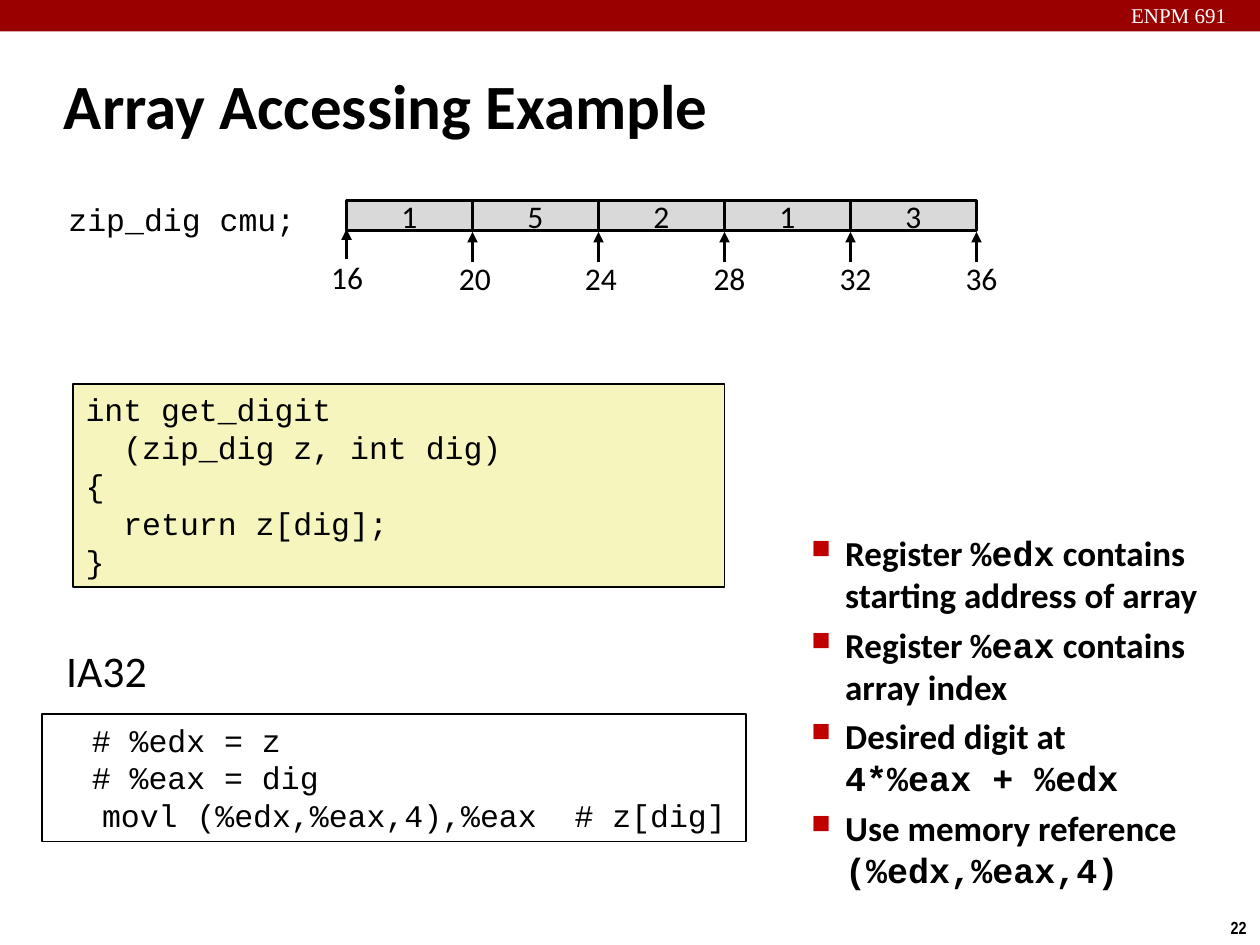
"""Build the slide on accessing an array element in IA32."""
from dataclasses import dataclass

import pptx
import pptx.dml.color
import pptx.enum.shapes
import pptx.enum.text
import pptx.oxml
import pptx.oxml.ns
import pptx.util

Pt = pptx.util.Pt
ALIGN = pptx.enum.text.PP_ALIGN
ANCHOR = pptx.enum.text.MSO_ANCHOR
SANS, MONO = "Calibri", "Courier New"
COLORS = {
    "black": "000000", "white": "FFFFFF", "banner": "990000",
    "bullet": "C00000", "code": "F6F5BD", "cell": "D9D9D9",
}
CELL_LEFT, CELL_TOP, CELL_WIDTH, CELL_HEIGHT = 198, 114.5, 72, 17.3
LABEL_WIDTH = 78


@dataclass
class Box:
    left: float
    top: float
    width: float
    height: float


@dataclass
class Address:
    value: int
    shift: float
    arrow_tip: float
    label_top: float


DIGITS = [1, 5, 2, 1, 3]
ADDRESSES = [
    Address(16, 0.4, 131, 144),
    Address(20, 1.4, 132.5, 144.7),
    Address(24, 1.4, 132.5, 144.7),
    Address(28, 2.9, 132.5, 144.7),
    Address(32, 2.9, 132.5, 144.7),
    Address(36, 2.9, 132.5, 144.7),
]
FUNCTION_CODE = ["int get_digit", "  (zip_dig z, int dig)", "{", "  return z[dig];", "}"]
ASSEMBLY_CODE = ["  # %edx = z", "  # %eax = dig", "\tmovl (%edx,%eax,4),%eax  # z[dig]"]
NOTES = [
    [("Register ", SANS), ("%edx", MONO), (" contains starting address of array", SANS)],
    [("Register ", SANS), ("%eax", MONO), (" contains \narray index", SANS)],
    [("Desired digit at \n", SANS), ("4*%eax + %edx", MONO)],
    [("Use memory reference ", SANS), ("(%edx,%eax,4)", MONO)],
]


def rgb(name: str) -> pptx.dml.color.RGBColor:
    """Return the named colour."""
    return pptx.dml.color.RGBColor.from_string(COLORS[name])


def add_child(parent, tag: str, **attributes: str):
    """Append a drawing element with the given attributes."""
    child = pptx.oxml.parse_xml(f"<a:{tag} {pptx.oxml.ns.nsdecls('a')}/>")
    for key, value in attributes.items():
        child.set(key, value)
    parent.append(child)
    return child


def write(shape, paragraphs: list, *, size: float, font: str = SANS, color: str = "black",
          bold: bool = False, align=ALIGN.LEFT, anchor=ANCHOR.TOP, wrap: bool = True,
          hanging: tuple = (), bullet: str = "", tabs: tuple = (), gap: float = 0) -> None:
    """Fill a shape with paragraphs, each a string or a list of (text, font) runs."""
    frame = shape.text_frame
    frame.word_wrap = wrap
    frame.vertical_anchor = anchor
    for index, content in enumerate(paragraphs):
        paragraph = frame.add_paragraph() if index else frame.paragraphs[0]
        properties = paragraph._p.get_or_add_pPr()
        if hanging:
            properties.set("marL", str(Pt(hanging[0])))
            properties.set("indent", str(Pt(hanging[1])))
        if bullet:
            add_child(add_child(properties, "buClr"), "srgbClr", val=COLORS["bullet"])
            add_child(properties, "buSzPct", val="75000")
            add_child(properties, "buChar", char=bullet)
        if tabs:
            tab_list = add_child(properties, "tabLst")
            for position in tabs:
                add_child(tab_list, "tab", pos=str(Pt(position)), algn="l")
        paragraph.alignment = align
        if index and gap:
            paragraph.space_before = Pt(gap)
        runs = [(content, font)] if isinstance(content, str) else content
        for text, face in runs:
            for line_number, line in enumerate(text.split("\n")):
                if line_number:
                    paragraph.add_line_break()
                if line:
                    run = paragraph.add_run()
                    run.text = line
                    run.font.name = face
                    run.font.size = Pt(size)
                    run.font.bold = bold
                    run.font.color.rgb = rgb(color)


def add_text(slide, box: Box, paragraphs: list, **text_format) -> None:
    """Add a text box and write into it."""
    label = slide.shapes.add_textbox(Pt(box.left), Pt(box.top), Pt(box.width), Pt(box.height))
    write(label, paragraphs, **text_format)


def add_rectangle(slide, box: Box, *, fill: str = "", line: float = 0):
    """Add a rectangle with an optional fill and black outline."""
    rectangle = slide.shapes.add_shape(
        pptx.enum.shapes.MSO_SHAPE.RECTANGLE,
        Pt(box.left), Pt(box.top), Pt(box.width), Pt(box.height))
    rectangle.shadow.inherit = False
    if fill:
        rectangle.fill.solid()
        rectangle.fill.fore_color.rgb = rgb(fill)
    else:
        rectangle.fill.background()
    if line:
        rectangle.line.color.rgb = rgb("black")
        rectangle.line.width = Pt(line)
    else:
        rectangle.line.fill.background()
    return rectangle


def add_address(slide, address: Address, x: float) -> None:
    """Draw an arrow up to a cell boundary with its address below."""
    arrow = slide.shapes.add_connector(
        pptx.enum.shapes.MSO_CONNECTOR.STRAIGHT,
        Pt(x), Pt(address.arrow_tip + 17.3), Pt(x), Pt(address.arrow_tip))
    arrow.line.color.rgb = rgb("black")
    arrow.line.width = Pt(2)
    add_child(arrow.line._get_or_add_ln(), "tailEnd", type="triangle")
    add_child(arrow._element.spPr, "effectLst")
    box = Box(x + address.shift - LABEL_WIDTH / 2, address.label_top, LABEL_WIDTH, 29)
    add_text(slide, box, [str(address.value)], size=18, align=ALIGN.CENTER)


def main() -> None:
    """Build and save the slide."""
    deck = pptx.Presentation()
    deck.slide_width, deck.slide_height = Pt(720), Pt(540)
    slide = deck.slides.add_slide(deck.slide_layouts[6])

    add_rectangle(slide, Box(0, 0, 720, 18), fill="banner")
    add_text(slide, Box(627, -2, 93, 21.6), ["ENPM 691"], size=12,
             font="Times New Roman", color="white", align=ALIGN.CENTER)
    add_text(slide, Box(695.5, 520.5, 24.5, 19.5), ["22"], size=10,
             font="Arial Narrow", bold=True, align=ALIGN.CENTER, wrap=False)
    add_text(slide, Box(29.5, 29.5, 597.6, 59.8), ["Array Accessing Example"], size=36,
             bold=True, anchor=ANCHOR.MIDDLE, hanging=(9.4, -9.4))
    add_text(slide, Box(444.2, 300.2, 270, 234.7), NOTES, size=20, bold=True,
             hanging=(31.7, -19.4), bullet="■", gap=4.3)

    function_box = add_rectangle(slide, Box(41.8, 219.6, 372.2, 116), fill="code", line=1)
    write(function_box, FUNCTION_CODE, size=18, font=MONO)
    assembly_box = add_rectangle(slide, Box(23.8, 408.2, 402.5, 72.7), line=1)
    write(assembly_box, ASSEMBLY_CODE, size=18, font=MONO, tabs=(27.4, 207.4))
    add_text(slide, Box(30.2, 364.3, 61.2, 37.4), ["IA32"], size=25,
             align=ALIGN.CENTER, wrap=False)
    add_text(slide, Box(23.8, 110.9, 152, 28.8), ["zip_dig cmu;"], size=18,
             font=MONO, align=ALIGN.RIGHT)

    for index, digit in enumerate(DIGITS):
        box = Box(CELL_LEFT + index * CELL_WIDTH, CELL_TOP, CELL_WIDTH, CELL_HEIGHT)
        cell = add_rectangle(slide, box, fill="cell", line=2)
        write(cell, [str(digit)], size=18, align=ALIGN.CENTER, anchor=ANCHOR.MIDDLE, wrap=False)
    for index, address in enumerate(ADDRESSES):
        add_address(slide, address, CELL_LEFT + index * CELL_WIDTH)

    deck.save("out.pptx")


if __name__ == "__main__":
    main()
